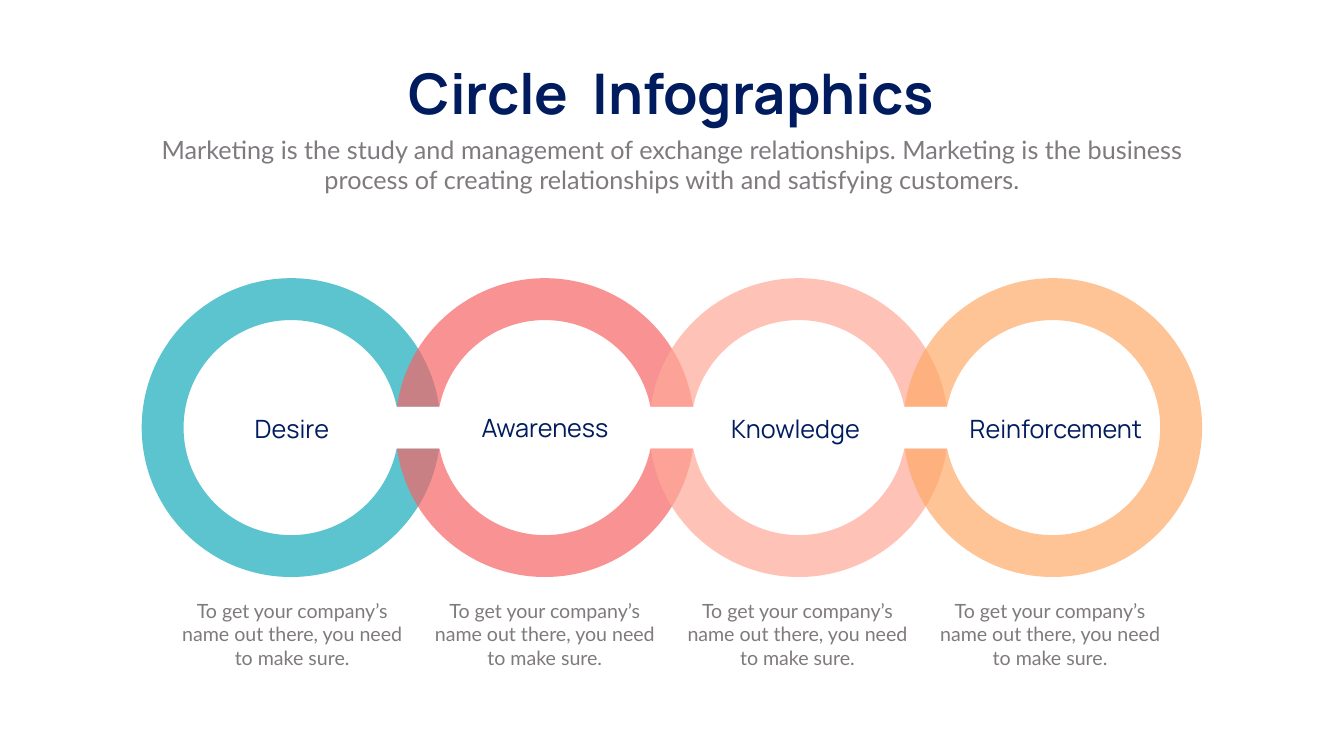
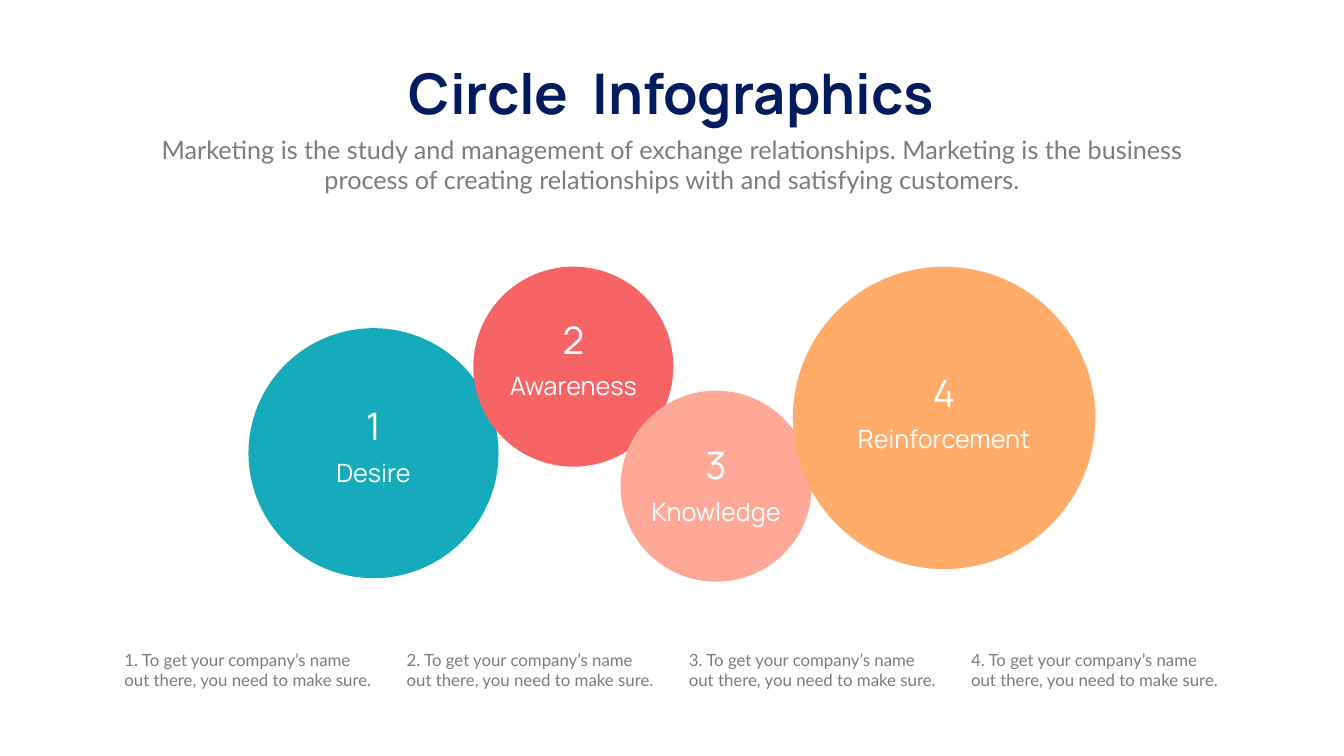
from dataclasses import dataclass
from math import asin, cos, radians, sin, tan

from lxml import etree
from pptx import Presentation
from pptx import util as u
from pptx.dml.color import RGBColor
from pptx.enum import shapes, text
from pptx.oxml.ns import qn

NAVY = RGBColor(0x00, 0x1C, 0x5E)
GREY = RGBColor(0x7F, 0x7A, 0x7E)
WHITE = RGBColor(0xFF, 0xFF, 0xFF)
TEAL = RGBColor(0x16, 0xAB, 0xBA)
CORAL = RGBColor(0xF7, 0x64, 0x66)
PINK = RGBColor(0xFE, 0xA9, 0x98)
ORANGE = RGBColor(0xFF, 0xAB, 0x69)

CENTER = text.PP_ALIGN.CENTER
LEFT = text.PP_ALIGN.LEFT
SUBTITLE = (
    "Marketing is the study and management of exchange relationships. "
    "Marketing is the business process of creating relationships with and "
    "satisfying customers."
)
ADVICE = "To get your company’s name out there, you need to make sure."


@dataclass(frozen=True)
class Style:
    font: str
    size: int
    color: RGBColor
    bold: bool = False
    align: text.PP_ALIGN = CENTER


@dataclass(frozen=True)
class Box:
    """A rectangle in centimetres."""

    left: float
    top: float
    width: float
    height: float

    def lengths(self) -> tuple:
        return tuple(u.Cm(n) for n in (self.left, self.top, self.width, self.height))


@dataclass(frozen=True)
class Ring:
    label: str
    color: RGBColor
    label_box: Box
    arcs: tuple  # start and end angles in degrees; each end stops at a gap


@dataclass(frozen=True)
class Circle:
    label: str
    color: RGBColor
    left: float
    top: float
    diameter: float
    number_top: float
    text_width: float = 8.28


TITLE_STYLE = Style("Manrope", 80, NAVY, bold=True)
SUBTITLE_STYLE = Style("Lato", 36, GREY)
RING_LABEL = Style("Manrope", 36, NAVY)
RING_ADVICE = Style("Lato", 28, GREY)
CIRCLE_LABEL = Style("Manrope", 36, WHITE)
CIRCLE_NUMBER = Style("Manrope", 54, WHITE)
CIRCLE_ADVICE = Style("Lato", 24, GREY, align=LEFT)

RING_X, RING_Y, RING_STEP = 14.67, 21.55, 12.79
OUTER_RADIUS, INNER_RADIUS, HALF_GAP = 7.53, 5.42, 1.06
HALVES = ((0, 180), (180, 360))
RINGS = (
    Ring("Desire", TEAL, Box(10.19, 20.7, 9.04, 1.8), ((0, 360),)),
    Ring("Awareness", CORAL, Box(22.94, 20.65, 9.04, 1.8), HALVES),
    Ring("Knowledge", PINK, Box(35.56, 20.7, 9.04, 1.8), HALVES),
    Ring("Reinforcement", ORANGE, Box(46.56, 20.7, 13.28, 1.8), ((-180, 180),)),
)
CIRCLES = (
    Circle("Desire", TEAL, 12.52, 16.54, 12.6, 20.19),
    Circle("Awareness", CORAL, 23.85, 13.44, 10.08, 15.82),
    Circle("Knowledge", PINK, 31.27, 19.69, 9.63, 22.15),
    Circle("Reinforcement", ORANGE, 39.95, 13.44, 15.24, 18.49, 12.14),
)


def add_text(slide, box: Box, words: list[str], style: Style, wrap: bool = True):
    """Add a one-paragraph text box with one run for each item of words."""
    shape = slide.shapes.add_textbox(*box.lengths())
    frame = shape.text_frame
    frame.word_wrap = wrap
    frame.auto_size = text.MSO_AUTO_SIZE.SHAPE_TO_FIT_TEXT
    paragraph = frame.paragraphs[0]
    paragraph.alignment = style.align
    for word in words:
        run = paragraph.add_run()
        run.text = word
        run.font.name = style.font
        run.font.size = u.Pt(style.size)
        run.font.bold = style.bold
        run.font.color.rgb = style.color
    return shape


def paint(shape, color: RGBColor, opacity: int = 100) -> None:
    shape.shadow.inherit = False
    shape.line.fill.background()
    shape.fill.solid()
    shape.fill.fore_color.rgb = color
    if opacity < 100:
        fill = shape._element.spPr.find(qn("a:solidFill"))
        etree.SubElement(fill[0], qn("a:alpha"), val=str(opacity * 1000))


def add_headed_slide(presentation):
    slide = presentation.slides.add_slide(presentation.slide_layouts[6])
    title = add_text(slide, Box(19.35, 2.84, 28.98, 3.68),
                     ["Circle", " ", "Infographics"], TITLE_STYLE, wrap=False)
    gap = title.text_frame.paragraphs[0].runs[1]
    gap.font._element.set("spc", "1800")  # widens the space between the words
    add_text(slide, Box(7.42, 6.63, 52.88, 3.33), [SUBTITLE], SUBTITLE_STYLE)
    return slide


def arc_points(center_x: float, radius: float, start: int, end: int) -> list[tuple]:
    """Return a start point, then two control points and an end per Bézier curve."""
    trim = asin(HALF_GAP / radius)
    angles = [radians(start) + trim,
              *(radians(degrees) for degrees in range(start + 90, end, 90)),
              radians(end) - trim]

    def point(angle: float, pull: float = 0) -> tuple:
        x = cos(angle) - pull * sin(angle)
        y = sin(angle) + pull * cos(angle)
        return u.Cm(center_x + radius * x), u.Cm(RING_Y + radius * y)

    points = [point(angles[0])]
    for first, last in zip(angles, angles[1:]):
        pull = 4 / 3 * tan((last - first) / 4)
        points += [point(first, pull), point(last, -pull), point(last)]
    return points


def curve_lines(shape, arc_lines: int) -> None:
    """Turn each three lines into a curve, but for the line joining two arcs."""
    outline = shape._element.find(".//" + qn("a:path"))
    lines = outline.findall(qn("a:lnTo"))
    contour_lines = 2 * arc_lines + 1
    curved = [line for index, line in enumerate(lines)
              if index % contour_lines != arc_lines]
    for curve, *others in zip(curved[::3], curved[1::3], curved[2::3]):
        curve.tag = qn("a:cubicBezTo")
        for line in others:
            curve.append(line[0])
            outline.remove(line)


def add_ring(slide, ring: Ring, center_x: float) -> None:
    builder = None
    for start, end in ring.arcs:
        outer = arc_points(center_x, OUTER_RADIUS, start, end)
        inner = arc_points(center_x, INNER_RADIUS, start, end)
        if builder is None:
            builder = slide.shapes.build_freeform(*outer[0])
        else:
            builder.move_to(*outer[0])
        builder.add_line_segments(outer[1:] + inner[::-1], close=True)
    shape = builder.convert_to_shape()
    curve_lines(shape, len(outer) - 1)
    paint(shape, ring.color, opacity=70)


def add_rings_slide(presentation) -> None:
    slide = add_headed_slide(presentation)
    for index, ring in enumerate(RINGS):
        add_ring(slide, ring, RING_X + index * RING_STEP)
    for index, ring in enumerate(RINGS):
        add_text(slide, ring.label_box, [ring.label], RING_LABEL)
        add_text(slide, Box(8.79 + index * 12.73, 30.05, 11.86, 3.84),
                 [ADVICE], RING_ADVICE)


def add_circles_slide(presentation) -> None:
    slide = add_headed_slide(presentation)
    for circle in CIRCLES:
        box = Box(circle.left, circle.top, circle.diameter, circle.diameter)
        paint(slide.shapes.add_shape(shapes.MSO_SHAPE.OVAL, *box.lengths()), circle.color)
    for index, circle in enumerate(CIRCLES):
        number = str(index + 1)
        left = circle.left + (circle.diameter - circle.text_width) / 2
        add_text(slide, Box(left, circle.number_top, circle.text_width, 2.57),
                 [number], CIRCLE_NUMBER)
        add_text(slide, Box(left, circle.number_top + 2.74, circle.text_width, 1.8),
                 [circle.label], CIRCLE_LABEL)
        add_text(slide, Box(6.02 + index * 14.22, 32.61, 13.03, 2.31),
                 [f"{number}. {ADVICE}"], CIRCLE_ADVICE)


def main() -> None:
    presentation = Presentation()
    presentation.slide_width = u.Cm(67.72)
    presentation.slide_height = u.Cm(38.1)
    add_rings_slide(presentation)
    add_circles_slide(presentation)
    presentation.save("out.pptx")


if __name__ == "__main__":
    main()
